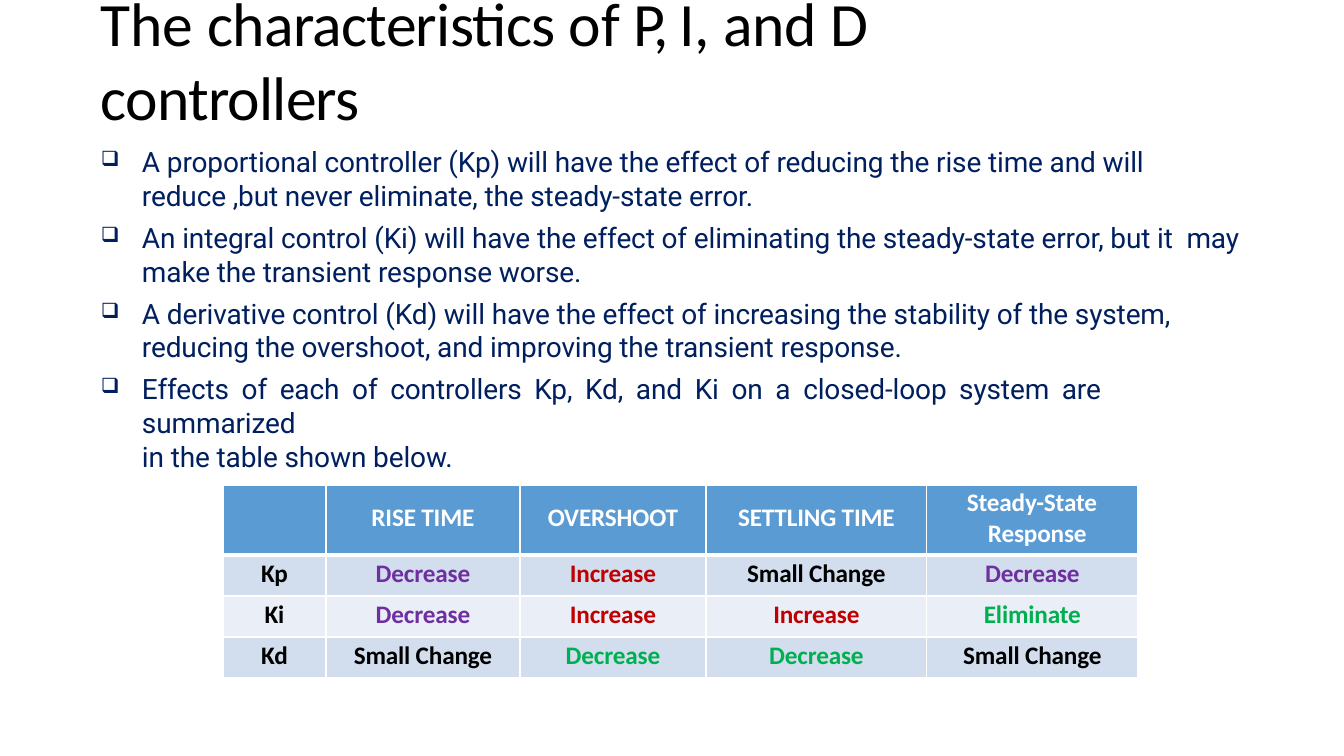
from lxml.etree import SubElement
from pptx import Presentation
from pptx.dml.color import RGBColor
from pptx.enum.text import MSO_ANCHOR, PP_ALIGN
from pptx.oxml.ns import qn
from pptx.util import Emu, Pt

PIXELS_PER_INCH = 100.8
NAVY, BLACK, WHITE = "001F5F", "000000", "FFFFFF"
HEADER_FILL = "5B9BD4"
BAND_FILLS = ["D2DEEE", "EAEEF7"]
EFFECT_COLORS = {"Decrease": "6F2F9F", "Increase": "C00000", "Eliminate": "00AF50"}
GOOD = "00AF50"

# Title pieces with their letter spacing in points
TITLE = [("The ", -0.2), ("characteristics ", -0.5), ("of ", -0.1), ("P, ", -3),
         ("I, ", -0.1), ("and ", -0.2), ("D ", 0), ("controllers", -0.6)]

# A line feed stands for a line break inside the paragraph
BULLETS = [
    "A proportional controller (Kp) will have the effect of reducing the rise time and will\n"
    "reduce ,but never eliminate, the steady-state error.",
    "An integral control (Ki) will have the effect of eliminating the steady-state error, "
    "but it  may make the transient response worse.",
    "A derivative control (Kd) will have the effect of increasing the stability of the system,\n"
    "reducing the overshoot, and improving the transient response.",
]
SUMMARY = "Effects of each of controllers Kp, Kd, and Ki on a closed-loop system are summarized"
SUMMARY_END = "in the table shown below."

HEADERS = ["", "RISE TIME", "OVERSHOOT", "SETTLING TIME", "Steady-State\nResponse"]
EFFECTS = [
    ["Kp", "Decrease", "Increase", "Small Change", "Decrease"],
    ["Ki", "Decrease", "Increase", "Increase", "Eliminate"],
    ["Kd", "Small Change", "Decrease", "Decrease", "Small Change"],
]
COLUMN_WIDTHS = [103, 194, 186, 221, 211]
ROW_HEIGHTS = [70, 41, 41, 41]


def px(length):
    return Emu(round(length * 914400 / PIXELS_PER_INCH))


def color(value):
    return RGBColor.from_string(value)


def add_text(para, text, font="Calibri", size=18, ink=BLACK, bold=False, spacing=0):
    for number, line in enumerate(text.split("\n")):
        if number:
            para.add_line_break()
        span = para.add_run()
        span.text = line
        span.font.name = font
        span.font.size = Pt(size)
        span.font.bold = bold
        span.font.color.rgb = color(ink)
        span.font._element.set("spc", str(round(spacing * 100)))


def add_box(page, left, top, width, height, anchor=MSO_ANCHOR.TOP):
    frame = page.shapes.add_textbox(px(left), px(top), px(width), px(height)).text_frame
    frame.word_wrap = True
    frame.vertical_anchor = anchor
    frame.margin_left = frame.margin_right = frame.margin_bottom = 0
    frame.margin_top = px(1)
    return frame


def set_indent(para, left, first=0):
    properties = para._p.get_or_add_pPr()
    properties.set("marL", str(px(left)))
    properties.set("indent", str(px(first)))
    return properties


def add_bullet(para):
    properties = set_indent(para, 41, -41)
    SubElement(properties, qn("a:buSzPct"), val="75000")
    SubElement(properties, qn("a:buChar"), char="❑")


def set_borders(cell, bottom=1, top=1):
    properties = cell._tc.get_or_add_tcPr()
    for side, width in (("L", 1), ("R", 1), ("T", top), ("B", bottom)):
        line = SubElement(properties, qn(f"a:ln{side}"), w=str(Pt(width)))
        fill = SubElement(line, qn("a:solidFill"))
        SubElement(fill, qn("a:srgbClr"), val=WHITE)


def fill_cell(cell, text, fill, ink, inset, top=1, bottom=1):
    set_borders(cell, top=top, bottom=bottom)
    cell.fill.solid()
    cell.fill.fore_color.rgb = color(fill)
    cell.margin_left = cell.margin_right = cell.margin_bottom = 0
    cell.margin_top = px(inset)
    para = cell.text_frame.paragraphs[0]
    if "\n" in text:
        set_indent(para, 61, -21)
    else:
        para.alignment = PP_ALIGN.CENTER
    if text:
        add_text(para, text, ink=ink, bold=True, spacing=-0.1)


def add_title(page):
    frame = add_box(page, 101, 20, 1030, 77, MSO_ANCHOR.MIDDLE)
    for text, spacing in TITLE:
        add_text(frame.paragraphs[0], text, size=44, spacing=spacing)


def add_bullets(page):
    frame = add_box(page, 101, 144, 1142, 297)
    body = {"font": "Roboto", "size": 20, "ink": NAVY}
    for number, text in enumerate(BULLETS + [SUMMARY]):
        para = frame.add_paragraph() if number else frame.paragraphs[0]
        para.space_before = Pt(6 if number else 1)
        add_bullet(para)
        if text != SUMMARY:
            add_text(para, text, spacing=-0.1, **body)
            continue
        # The summary line has wide gaps between its words
        for place, word in enumerate(text.split()):
            if place:
                add_text(para, " ", spacing=4, **body)
            add_text(para, word, spacing=-0.1, **body)
    para = frame.add_paragraph()
    set_indent(para, 41)
    add_text(para, SUMMARY_END, spacing=-0.1, **body)


def add_effects_table(page):
    frame = page.shapes.add_table(len(ROW_HEIGHTS), len(COLUMN_WIDTHS), px(223), px(485),
                                  px(sum(COLUMN_WIDTHS)), px(sum(ROW_HEIGHTS)))
    table = frame.table
    for column, width in zip(table.columns, COLUMN_WIDTHS):
        column.width = px(width)
    for row, height in zip(table.rows, ROW_HEIGHTS):
        row.height = px(height)

    # Header row
    for cell, text in zip(table.rows[0].cells, HEADERS):
        fill_cell(cell, text, HEADER_FILL, WHITE, 3 if "\n" in text else 18, bottom=3)

    # One row for each gain; a decrease caused by Kd is an improvement
    for number, texts in enumerate(EFFECTS):
        for cell, text in zip(table.rows[number + 1].cells, texts):
            ink = EFFECT_COLORS.get(text, BLACK)
            if texts[0] == "Kd" and text == "Decrease":
                ink = GOOD
            fill_cell(cell, text, BAND_FILLS[number % 2], ink, 4, top=1 if number else 3)


def main():
    deck = Presentation()
    deck.slide_width, deck.slide_height = px(1344), px(756)
    page = deck.slides.add_slide(deck.slide_layouts[6])
    add_title(page)
    add_bullets(page)
    add_effects_table(page)
    deck.save("out.pptx")


if __name__ == "__main__":
    main()
